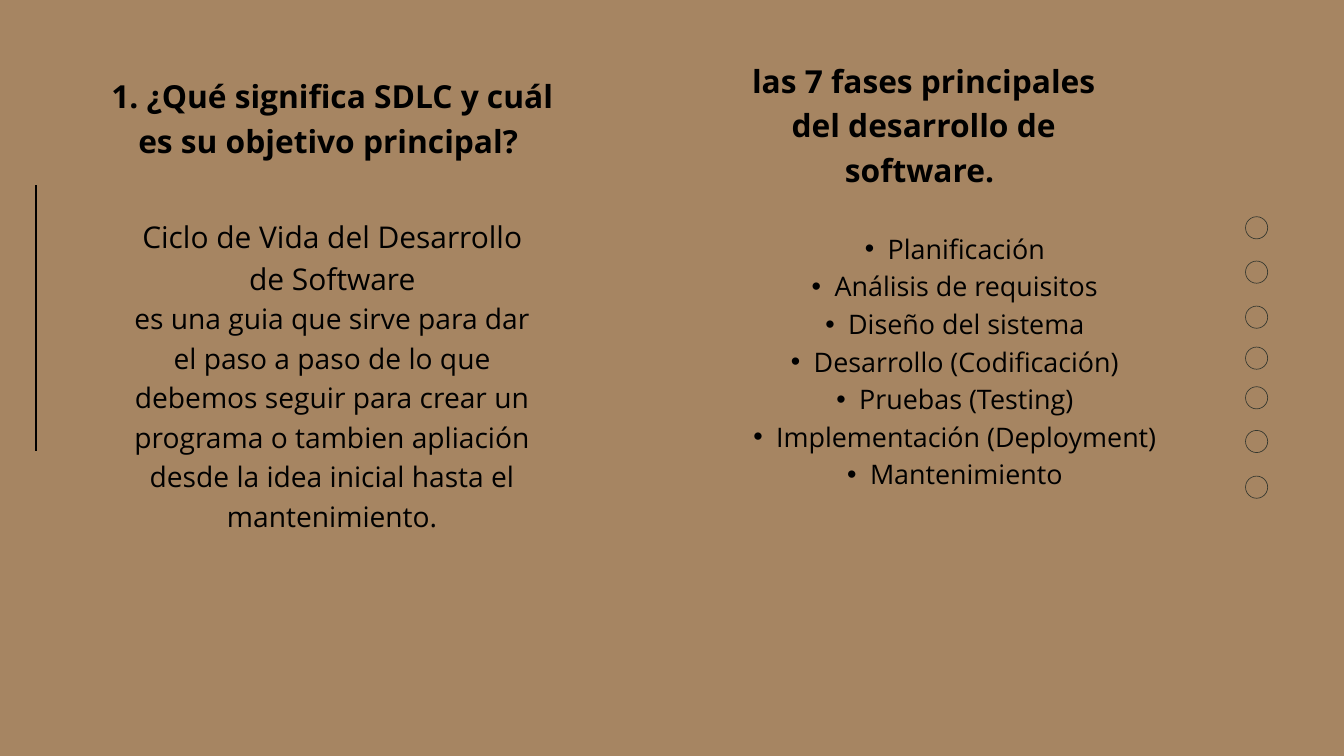
import lxml.etree
import pptx
import pptx.dml.color
import pptx.enum.shapes
import pptx.enum.text
import pptx.oxml.ns
import pptx.util

Inches = pptx.util.Inches
Pt = pptx.util.Pt
qn = pptx.oxml.ns.qn

BROWN = pptx.dml.color.RGBColor(0xA6, 0x85, 0x62)
BLACK = pptx.dml.color.RGBColor(0, 0, 0)
RING_GREY = pptx.dml.color.RGBColor(0x35, 0x38, 0x2F)
FONT = "Open Sans"

PHASES = [
    "Planificación",
    "Análisis de requisitos",
    "Diseño del sistema",
    "Desarrollo (Codificación)",
    "Pruebas (Testing)",
    "Implementación (Deployment)",
    "Mantenimiento",
]
RING_TOPS = [3.22, 3.88, 4.55, 5.16, 5.75, 6.4, 7.08]


def place(sp, left, top, width, height):
    """Move a placeholder and clear its insets; return its text frame."""
    sp.left, sp.top = Inches(left), Inches(top)
    sp.width, sp.height = Inches(width), Inches(height)
    tf = sp.text_frame
    tf.word_wrap = True
    tf.auto_size = pptx.enum.text.MSO_AUTO_SIZE.NONE
    tf.vertical_anchor = pptx.enum.text.MSO_ANCHOR.TOP
    tf.margin_left = tf.margin_right = tf.margin_top = tf.margin_bottom = 0
    return tf


def set_bullet(p, bullet):
    pPr = p._p.get_or_add_pPr()
    pPr.set("marL", str(Inches(0.68) if bullet else 0))
    pPr.set("indent", str(Inches(-0.34) if bullet else 0))
    if bullet:
        lxml.etree.SubElement(pPr, qn("a:buFont")).set("typeface", "Arial")
        lxml.etree.SubElement(pPr, qn("a:buChar")).set("char", "•")
    else:
        lxml.etree.SubElement(pPr, qn("a:buNone"))


def add_text(tf, text, size, spacing, bold=False, bullet=False):
    """Fill the empty first paragraph, or add one after the text so far."""
    p = tf.paragraphs[0] if not tf.text else tf.add_paragraph()
    p.alignment = pptx.enum.text.PP_ALIGN.CENTER
    p.level = 1 if bullet else 0
    p.line_spacing = Pt(spacing)
    p.space_before = p.space_after = Pt(0)
    set_bullet(p, bullet)
    r = p.add_run()
    r.text = text
    r.font.name = FONT
    r.font.size = Pt(size)
    r.font.bold = bold
    r.font.color.rgb = BLACK


def add_side_line(s):
    line = s.shapes.add_connector(
        pptx.enum.shapes.MSO_CONNECTOR.STRAIGHT,
        Inches(0.54), Inches(6.71), Inches(0.54), Inches(2.75))
    line.line.color.rgb = BLACK
    line.line.width = Pt(2.25)
    lxml.etree.SubElement(line._element.spPr, qn("a:effectLst"))


def add_ring(s, top):
    ring = s.shapes.add_shape(
        pptx.enum.shapes.MSO_SHAPE.DONUT,
        Inches(18.53), Inches(top), Inches(0.34), Inches(0.34))
    ring.adjustments[0] = 0.03
    ring.shadow.inherit = False
    ring.fill.solid()
    ring.fill.fore_color.rgb = RING_GREY
    ring.line.fill.background()


def main():
    prs = pptx.Presentation()
    prs.slide_width, prs.slide_height = Inches(20), Inches(11.25)
    s = prs.slides.add_slide(prs.slide_layouts.get_by_name("Comparison"))
    s.background.fill.solid()
    s.background.fill.fore_color.rgb = BROWN

    holders = {sp.placeholder_format.idx: sp for sp in s.placeholders}
    unused = holders[1]._element
    unused.getparent().remove(unused)

    add_side_line(s)
    for top in RING_TOPS:
        add_ring(s, top)

    tf = place(holders[0], 1.45, 1.05, 6.99, 1.29)
    add_text(tf, "1. ¿Qué significa SDLC y cuál es su objetivo principal? ",
             34, 47.6, bold=True)

    tf = place(holders[3], 10.87, 0.82, 5.75, 1.95)
    add_text(tf, "las 7 fases principales del desarrollo de software. ",
             34, 47.6, bold=True)

    tf = place(holders[2], 1.87, 3.16, 6.15, 5.93)
    add_text(tf, "Ciclo de Vida del Desarrollo de Software", 32.1, 44.9)
    add_text(tf, "es una guia que sirve para dar el paso a paso de lo que "
             "debemos seguir para crear un programa o tambien apliación "
             "desde la idea inicial hasta el mantenimiento.", 30.2, 42.3)

    tf = place(holders[4], 10.87, 3.38, 6.34, 4.43)
    for phase in PHASES:
        add_text(tf, phase, 28.8, 40.3, bullet=True)

    prs.save("out.pptx")


if __name__ == "__main__":
    main()
